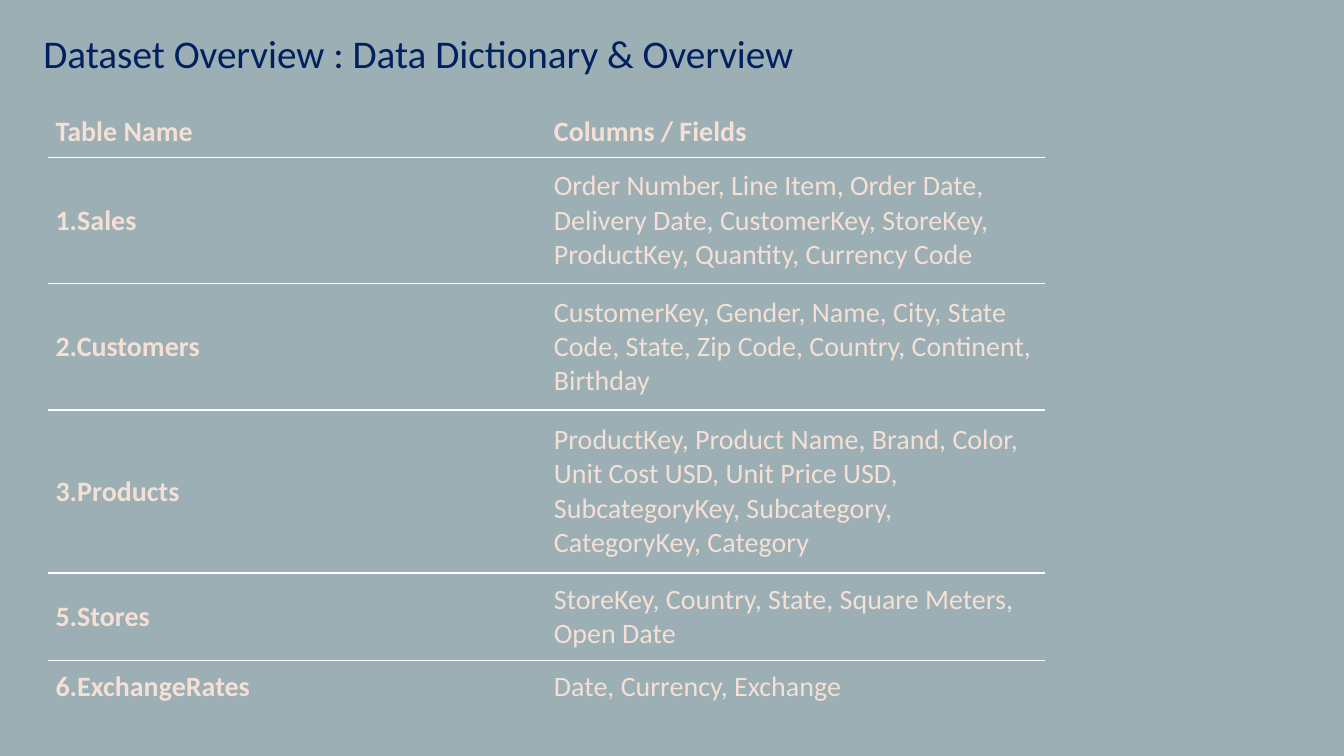
from dataclasses import dataclass

from lxml.etree import SubElement
from pptx import Presentation
from pptx.dml.color import RGBColor
from pptx.enum.text import MSO_ANCHOR as Anchor, MSO_AUTO_SIZE as Fit, PP_ALIGN as Align
from pptx.oxml.ns import qn
from pptx.slide import Slide
from pptx.table import _Cell as Cell
from pptx.text.text import TextFrame as Frame
from pptx.util import Cm, Pt

BACK = RGBColor(0x9B, 0xAF, 0xB5)
NAVY = RGBColor(0x00, 0x20, 0x60)
CREAM = RGBColor(0xF5, 0xE0, 0xD5)
WHITE = RGBColor(0xFF, 0xFF, 0xFF)
FONT = "Calibri"
TITLE_ONLY = 5


@dataclass
class Entry:
    name: str
    fields: str
    height: float
    head: bool = False


ENTRIES = [
    Entry("Table Name", "Columns / Fields", 1.3, True),
    Entry("1.Sales", "Order Number, Line Item, Order Date, Delivery Date, CustomerKey, "
          "StoreKey, ProductKey, Quantity, Currency Code", 3.18),
    Entry("2.Customers", "CustomerKey, Gender, Name, City, State Code, State, Zip Code, "
          "Country, Continent, Birthday", 3.18),
    Entry("3.Products", "ProductKey, Product Name, Brand, Color, Unit Cost USD, "
          "Unit Price USD, SubcategoryKey, Subcategory, CategoryKey, Category", 4.11),
    Entry("5.Stores", "StoreKey, Country, State, Square Meters, Open Date", 2.21),
    Entry("6.ExchangeRates", "Date, Currency, Exchange", 1.3),
]


def write(frame: Frame, text: str, size: int, color: RGBColor, bold: bool = False) -> None:
    para = frame.paragraphs[0]
    para.alignment = Align.LEFT
    run = para.add_run()
    run.text = text
    run.font.name = FONT
    run.font.size = Pt(size)
    run.font.bold = bold
    run.font.color.rgb = color


def rule(cell: Cell, above: bool, below: bool) -> None:
    """Draw only the wanted horizontal borders of a cell."""
    props = cell._tc.get_or_add_tcPr()
    for side, shown in (("L", False), ("R", False), ("T", above), ("B", below)):
        line = SubElement(props, qn(f"a:ln{side}"), w=str(Pt(1)))
        if shown:
            fill = SubElement(line, qn("a:solidFill"))
            SubElement(fill, qn("a:srgbClr"), val=str(WHITE))
        else:
            SubElement(line, qn("a:noFill"))


def add_title(slide: Slide) -> None:
    title = slide.shapes.title
    title.left, title.top = Cm(0.84), Cm(0.61)
    title.width, title.height = Cm(20.37), Cm(1.45)
    frame = title.text_frame
    frame.word_wrap = True
    frame.auto_size = Fit.SHAPE_TO_FIT_TEXT
    frame.vertical_anchor = Anchor.TOP
    write(frame, "Dataset Overview : Data Dictionary & Overview", 28, NAVY)


def add_grid(slide: Slide) -> None:
    total = sum(entry.height for entry in ENTRIES)
    grid = slide.shapes.add_table(len(ENTRIES), 2, Cm(1.22), Cm(2.67),
                                  Cm(25.12), Cm(total)).table
    grid.first_row = grid.horz_banding = False
    last = len(ENTRIES) - 1
    for row, entry in enumerate(ENTRIES):
        grid.rows[row].height = Cm(entry.height)
        for col, text in enumerate((entry.name, entry.fields)):
            cell = grid.cell(row, col)
            cell.vertical_anchor = Anchor.MIDDLE
            cell.margin_left = cell.margin_right = Cm(0.18)
            cell.margin_top = cell.margin_bottom = Cm(0.1)
            rule(cell, row > 0, row < last)
            cell.fill.background()
            write(cell.text_frame, text, 20, CREAM, entry.head or col == 0)


def main() -> None:
    deck = Presentation()
    deck.slide_width, deck.slide_height = Cm(33.87), Cm(19.05)
    slide = deck.slides.add_slide(deck.slide_layouts[TITLE_ONLY])
    back = slide.background.fill
    back.solid()
    back.fore_color.rgb = BACK
    add_title(slide)
    add_grid(slide)
    deck.save("out.pptx")


if __name__ == "__main__":
    main()
